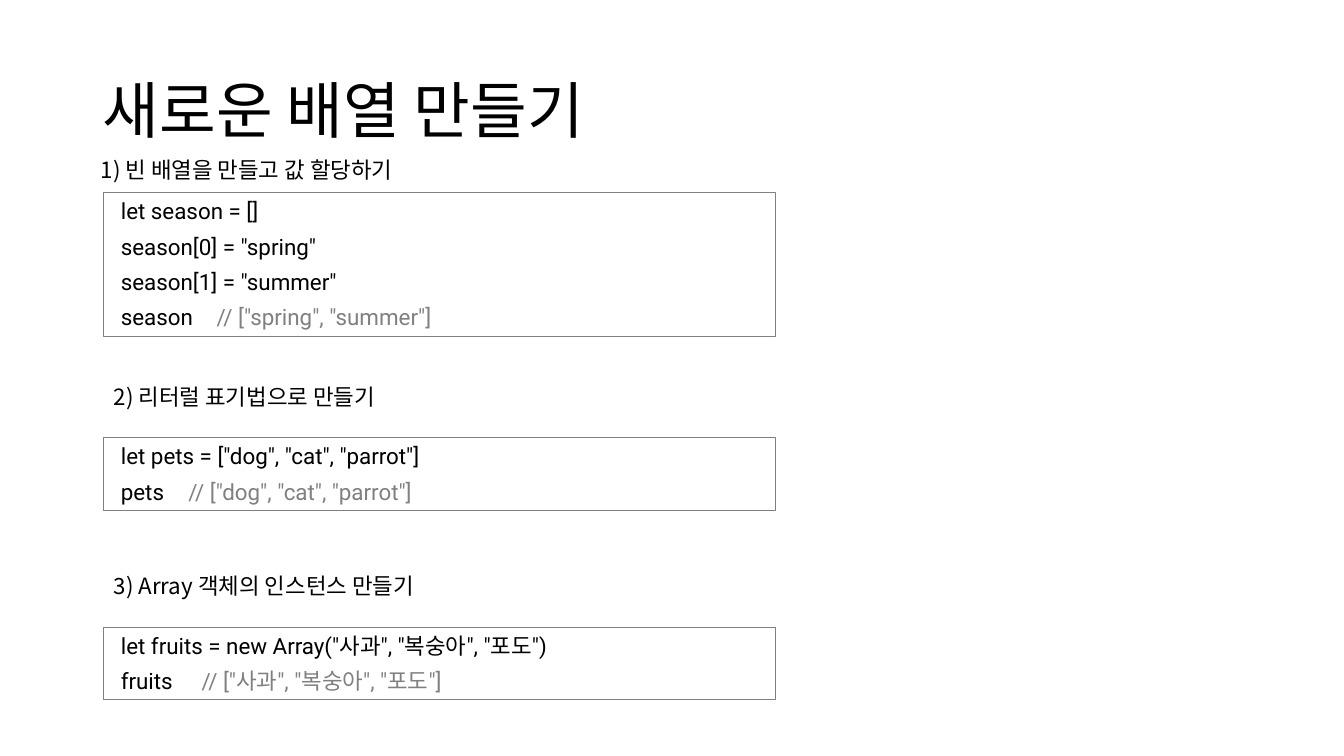
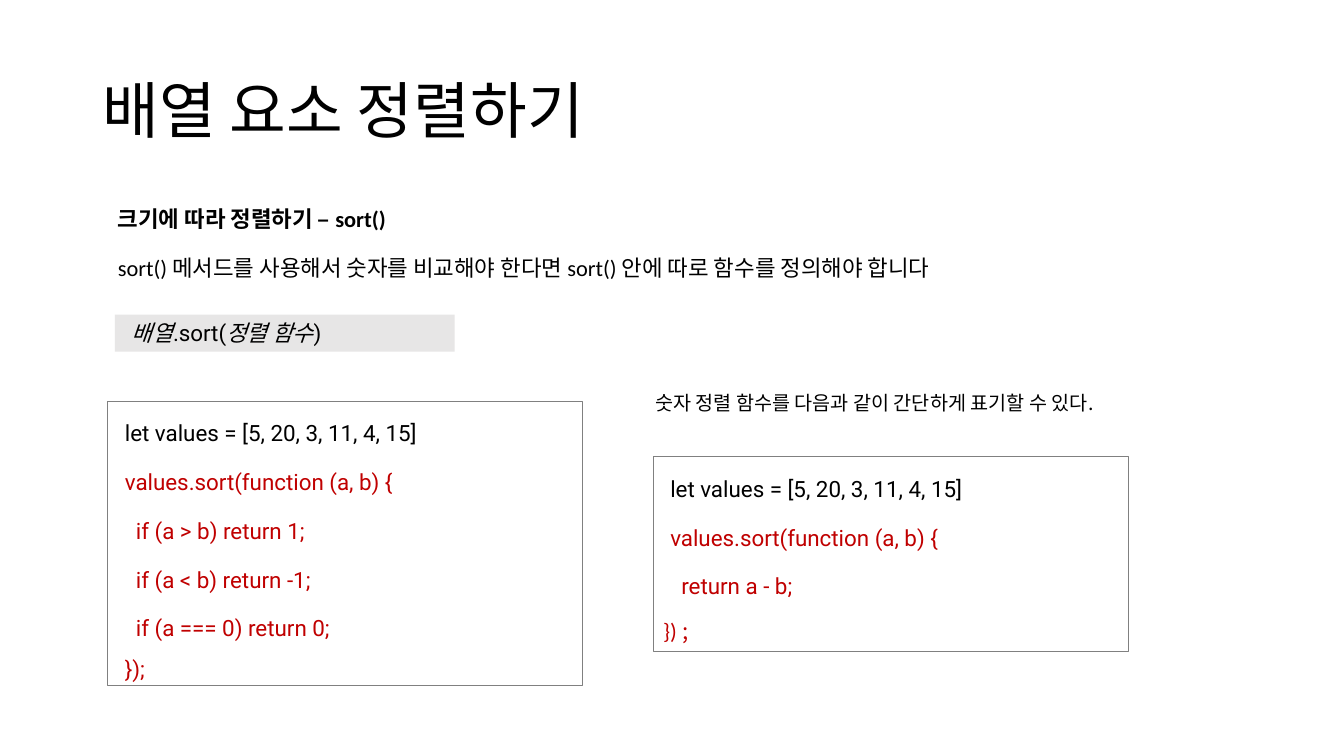
import dataclasses
import typing

import lxml.etree
import pptx
import pptx.dml.color
import pptx.enum.shapes
import pptx.enum.text
import pptx.oxml.ns
import pptx.util


@dataclasses.dataclass(frozen=True)
class Theme:
    """Colours, fonts and type sizes shared by the slides."""
    ink: str = "000000"
    muted: str = "808080"
    accent: str = "C00000"
    panel: str = "E7E6E6"
    korean: str = "Noto Sans CJK KR"
    latin: str = "Calibri"
    code: str = "Roboto"
    title_size: int = 44
    body_size: int = 16
    note_size: int = 14


THEME = Theme()
WIDTH, HEIGHT = pptx.util.Inches(13.33), pptx.util.Inches(7.5)
BODY = {"name": THEME.korean, "size": THEME.body_size, "color": THEME.ink}
TITLE = BODY | {"size": THEME.title_size}
NOTE = BODY | {"size": THEME.note_size}
LATIN = BODY | {"name": THEME.latin}
LEAD = LATIN | {"bold": True}
CODE = BODY | {"name": THEME.code}
SLANTED = CODE | {"italic": True}
COMMENT = CODE | {"color": THEME.muted}
ACCENT = CODE | {"color": THEME.accent}
CODE_INDENT = 0.07
LINE_SHARE = 4.73


class Box(typing.NamedTuple):
    """A region in percent of the slide's width and height."""
    left: float
    top: float
    width: float
    height: float

    def lengths(self):
        """Return the region as slide lengths."""
        sides = (WIDTH, HEIGHT, WIDTH, HEIGHT)
        return [round(side * share / 100) for side, share in zip(sides, self)]


def write_run(paragraph, text, style):
    """Add one run in the given style."""
    run = paragraph.add_run()
    run.text = text
    for attribute, value in style.items():
        if attribute == "color":
            run.font.color.rgb = pptx.dml.color.RGBColor.from_string(value)
        else:
            setattr(run.font, attribute, pptx.util.Pt(value) if attribute == "size" else value)
    east_asian = lxml.etree.SubElement(run.font._element, pptx.oxml.ns.qn("a:ea"))
    east_asian.set("typeface", THEME.korean)


def write_line(paragraph, runs, spacing=None):
    """Fill a paragraph with runs, breaking the line at each newline."""
    paragraph.alignment = pptx.enum.text.PP_ALIGN.LEFT
    paragraph.line_spacing = spacing
    for text, style in runs:
        for number, part in enumerate(text.split("\n")):
            if number:
                paragraph.add_line_break()
            write_run(paragraph, part, style)


def label(slide, box, runs, spacing=None, anchor=pptx.enum.text.MSO_ANCHOR.TOP):
    """Place one wrapped line of text."""
    frame = slide.shapes.add_textbox(*box.lengths()).text_frame
    frame.word_wrap = True
    frame.vertical_anchor = anchor
    write_line(frame.paragraphs[0], runs, spacing)


def indent_code(paragraph, comment_stop):
    """Indent a code line and set the column of its comment."""
    properties = paragraph._p.get_or_add_pPr()
    properties.set("marL", str(pptx.util.Inches(CODE_INDENT)))
    if comment_stop:
        stops = lxml.etree.SubElement(properties, pptx.oxml.ns.qn("a:tabLst"))
        stop = lxml.etree.SubElement(stops, pptx.oxml.ns.qn("a:tab"))
        stop.set("pos", str(pptx.util.Inches(comment_stop)))
        stop.set("algn", "l")


def listing(slide, box, lines, spacing=None, fill=None, comment_stop=None, closing=None):
    """Place code lines in a framed or filled box, with an optional unindented closing line."""
    panel = slide.shapes.add_shape(pptx.enum.shapes.MSO_SHAPE.RECTANGLE, *box.lengths())
    panel.shadow.inherit = False
    if fill:
        panel.fill.solid()
        panel.fill.fore_color.rgb = pptx.dml.color.RGBColor.from_string(fill)
        panel.line.fill.background()
    else:
        panel.fill.background()
        panel.line.color.rgb = pptx.dml.color.RGBColor.from_string(THEME.muted)
        panel.line.width = pptx.util.Pt(0.75)
    frame = panel.text_frame
    frame.word_wrap = True
    frame.vertical_anchor = pptx.enum.text.MSO_ANCHOR.TOP
    for number, runs in enumerate(lines):
        paragraph = frame.add_paragraph() if number else frame.paragraphs[0]
        indent_code(paragraph, comment_stop)
        paragraph.space_before = pptx.util.Pt(3 if number else 0)
        paragraph.space_after = pptx.util.Pt(3)
        write_line(paragraph, runs, spacing)
    if closing:
        write_line(frame.add_paragraph(), closing, spacing)


def step(slide, box, heading, lines, comment_stop, outdent=0):
    """Place a heading at the top of the box and its code at the bottom."""
    label(slide, Box(box.left - outdent, box.top, 66.6, 4.93), [(heading, BODY)])
    height = LINE_SHARE * len(lines) + 0.14
    code_box = Box(box.left, box.top + box.height - height, box.width, height)
    listing(slide, code_box, lines, comment_stop=comment_stop)


def titled_slide(deck, title):
    """Add a blank slide with the shared title."""
    slide = deck.slides.add_slide(deck.slide_layouts[6])
    label(slide, Box(6.9, 5.33, 86.25, 19.33), [(title, TITLE)], 0.9,
          pptx.enum.text.MSO_ANCHOR.MIDDLE)
    return slide


def creation_slide(deck):
    """Build the slide on three ways to make an array."""
    slide = titled_slide(deck, "새로운 배열 만들기")
    step(slide, Box(7.73, 20, 50, 24.53), "1) 빈 배열을 만들고 값 할당하기", [
        [("let season = []", CODE)],
        [('season[0] = "spring"', CODE)],
        [('season[1] = "summer"', CODE)],
        [("season\t", CODE), ('// ["spring", "summer"]', COMMENT)],
    ], 0.95, outdent=0.97)
    step(slide, Box(7.73, 50, 50, 17.47), "2) 리터럴 표기법으로 만들기", [
        [('let pets = ["dog", "cat", "parrot"]', CODE)],
        [("pets\t", CODE), ('// ["dog", "cat", "parrot"]', COMMENT)],
    ], 0.67)
    step(slide, Box(7.73, 75.07, 50, 17.47), "3) Array 객체의 인스턴스 만들기", [
        [('let fruits = new Array("사과", "복숭아", "포도")', CODE)],
        [("fruits\t", CODE), ('// ["사과", "복숭아", "포도"]', COMMENT)],
    ], 0.8)


def sorting_slide(deck):
    """Build the slide on sorting the elements of an array."""
    slide = titled_slide(deck, "배열 요소 정렬하기")
    label(slide, Box(8.03, 24.67, 47.19, 6.13), [("크기에 따라 정렬하기 – sort()", LEAD)], 1.5)
    label(slide, Box(8.03, 32.93, 81.55, 4.93), [
        ("sort() 메서드를 사용해서 숫자를 비교해야 한다면 sort() 안에 따로 함수를 정의해야 합니다", LATIN)])
    listing(slide, Box(8.55, 41.6, 25.28, 4.93), [
        [("배열", SLANTED), (".sort(", CODE), ("정렬 함수", SLANTED), (")", CODE)],
    ], fill=THEME.panel)
    opening = [
        [("let values = [5, 20, 3, 11, 4, 15]", CODE)],
        [("values.sort(function (a, b) {", ACCENT)],
    ]
    listing(slide, Box(8.03, 53.07, 35.33, 37.6), opening + [
        [("  if (a > b) return 1;", ACCENT)],
        [("  if (a < b) return -1;", ACCENT)],
        [("  if (a === 0) return 0;\n});", ACCENT)],
    ], 1.5)
    label(slide, Box(48.01, 51.07, 41.49, 4.53), [
        ("숫자 정렬 함수를 다음과 같이 간단하게 표기할 수 있다.", NOTE)])
    listing(slide, Box(48.61, 60.4, 35.33, 25.73), opening + [
        [("  return a - b;", ACCENT)],
    ], 1.5, closing=[("}) ", ACCENT | {"name": THEME.latin}),
                     (";", ACCENT | {"name": THEME.korean})])


def main():
    """Build and save the presentation."""
    deck = pptx.Presentation()
    deck.slide_width, deck.slide_height = WIDTH, HEIGHT
    creation_slide(deck)
    sorting_slide(deck)
    deck.save("out.pptx")


if __name__ == "__main__":
    main()
